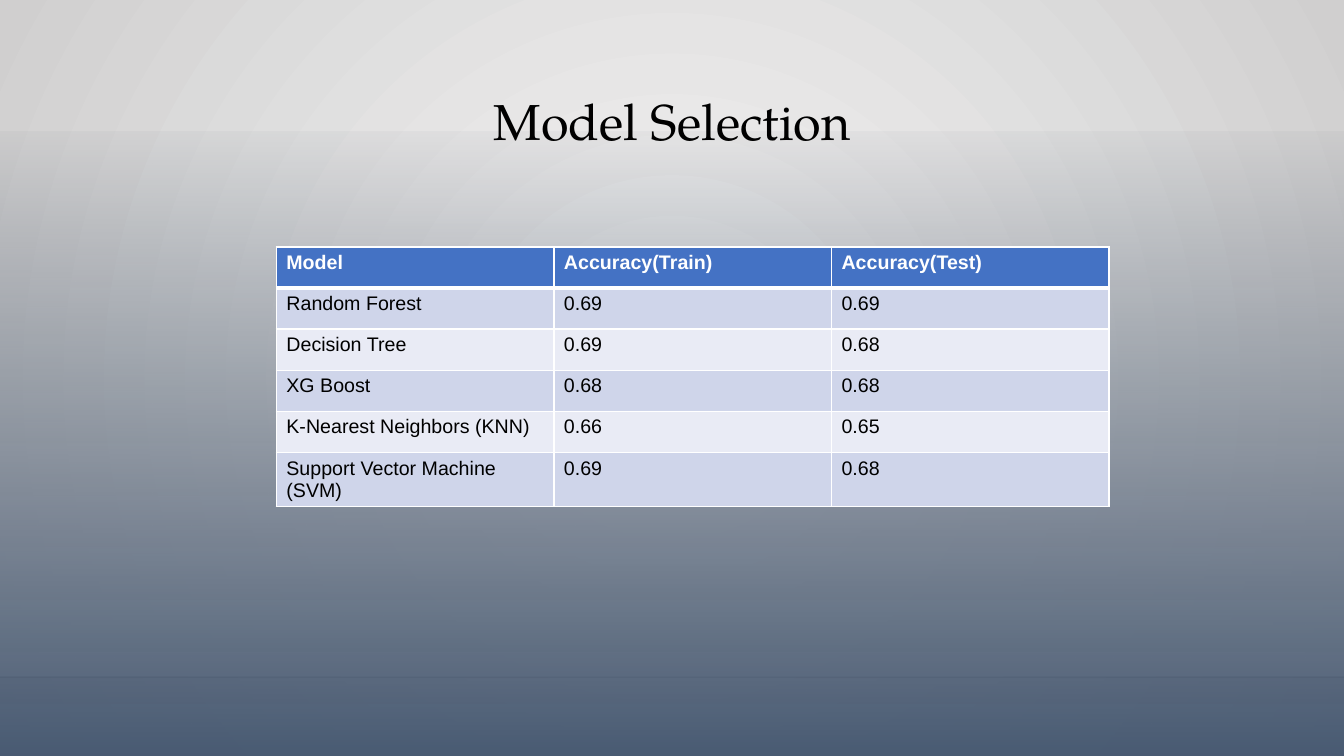
from lxml.etree import SubElement
from pptx import Presentation
from pptx.dml.color import RGBColor
from pptx.enum.shapes import MSO_CONNECTOR, MSO_SHAPE
from pptx.enum.text import MSO_ANCHOR, PP_ALIGN
from pptx.oxml.ns import qn
from pptx.util import Inches, Pt

WIDTH, HEIGHT = Inches(13.33), Inches(7.5)
BLACK, WHITE = "000000", "FFFFFF"
HEADER_FILL, BAND_FILLS = "4472C4", ("CFD5EA", "E9EBF5")
ROWS = [
    ("Model", "Accuracy(Train)", "Accuracy(Test)"),
    ("Random Forest", "0.69", "0.69"),
    ("Decision Tree", "0.69", "0.68"),
    ("XG Boost", "0.68", "0.68"),
    ("K-Nearest Neighbors (KNN)", "0.66", "0.65"),
    ("Support Vector Machine (SVM)", "0.69", "0.68"),
]


def rgb(value):
    return RGBColor.from_string(value)


def across(percent):
    return round(WIDTH * percent / 100)


def down(percent):
    return round(HEIGHT * percent / 100)


def box(left, top, width, height):
    return across(left), down(top), across(width), down(height)


def add_color(parent, value, alpha=100):
    clr = SubElement(parent, qn("a:srgbClr"), val=value)
    if alpha < 100:
        SubElement(clr, qn("a:alpha"), val=str(alpha * 1000))


def paint_gradient(fill, element, stops, radial=False):
    fill.gradient()
    grad = next(element.iter(qn("a:gradFill")))
    for child in list(grad):
        grad.remove(child)
    gs_list = SubElement(grad, qn("a:gsLst"))
    for pos, (value, alpha) in zip((0, 100000), stops):
        add_color(SubElement(gs_list, qn("a:gs"), pos=str(pos)), value, alpha)
    if radial:
        center = SubElement(grad, qn("a:path"), path="circle")
        SubElement(center, qn("a:fillToRect"), l="50000", t="50000", r="50000", b="50000")
    else:
        SubElement(grad, qn("a:lin"), ang="5400000", scaled="0")


def add_veil(s, top, height, stops):
    sp = s.shapes.add_shape(MSO_SHAPE.RECTANGLE, *box(0, top, 100, height))
    sp.shadow.inherit = False
    sp.line.fill.background()
    paint_gradient(sp.fill, sp.element, stops)


def add_horizon(s, y):
    line = s.shapes.add_connector(MSO_CONNECTOR.STRAIGHT, 0, down(y), WIDTH, down(y))
    line.line.width = Pt(1)
    line.line.color.rgb = rgb("000001")
    clr = next(line.line._get_or_add_ln().iter(qn("a:srgbClr")))
    SubElement(clr, qn("a:alpha"), val="20000")
    SubElement(line.element.spPr, qn("a:effectLst"))


def add_borders(cell, bottom):
    tc_pr = cell._tc.get_or_add_tcPr()
    for side, width in (("L", 1), ("R", 1), ("T", 1), ("B", bottom)):
        ln = SubElement(tc_pr, qn(f"a:ln{side}"), w=str(Pt(width)))
        add_color(SubElement(ln, qn("a:solidFill")), WHITE)


def fill_cell(cell, text, fill, color, bold, bottom):
    add_borders(cell, bottom)
    cell.fill.solid()
    cell.fill.fore_color.rgb = rgb(fill)
    cell.text = text
    style_text(cell.text_frame.paragraphs[0], "Arial", 14, color, bold)


def style_text(p, name, size, color, bold=False):
    p.font.name, p.font.size, p.font.bold = name, Pt(size), bold
    p.font.color.rgb = rgb(color)


def add_scores(s, left, top, width, row_height):
    frame = s.shapes.add_table(
        len(ROWS), len(ROWS[0]), *box(left, top, width, row_height * len(ROWS))
    )
    for i, row in enumerate(ROWS):
        if i == 0:
            look = (HEADER_FILL, WHITE, True, 3)
        else:
            look = (BAND_FILLS[(i - 1) % 2], BLACK, False, 1)
        for j, text in enumerate(row):
            fill_cell(frame.table.cell(i, j), text, *look)


def add_title(s, text, *area):
    tf = s.shapes.add_textbox(*box(*area)).text_frame
    tf.word_wrap = True
    tf.vertical_anchor = MSO_ANCHOR.MIDDLE
    p = tf.paragraphs[0]
    p.text = text
    p.alignment = PP_ALIGN.CENTER
    p.line_spacing = 0.9
    style_text(p, "TeX Gyre Pagella", 36, BLACK)


def main():
    prs = Presentation()
    prs.slide_width, prs.slide_height = WIDTH, HEIGHT
    s = prs.slides.add_slide(prs.slide_layouts[6])
    paint_gradient(
        s.background.fill, s.element, [("F5F5F5", 100), ("D0CFCF", 100)], radial=True
    )
    add_veil(s, 29.33, 60, [("E7E6E6", 0), ("E7E6E6", 100)])
    add_horizon(s, 89.6)
    add_veil(s, 17.47, 82.53, [("3B495C", 4), ("495B73", 100)])
    add_scores(s, 20.56, 32.67, 61.97, 5.43)
    add_title(s, "Model Selection", 28.28, 6.27, 43.44, 20.4)
    prs.save("out.pptx")


if __name__ == "__main__":
    main()
